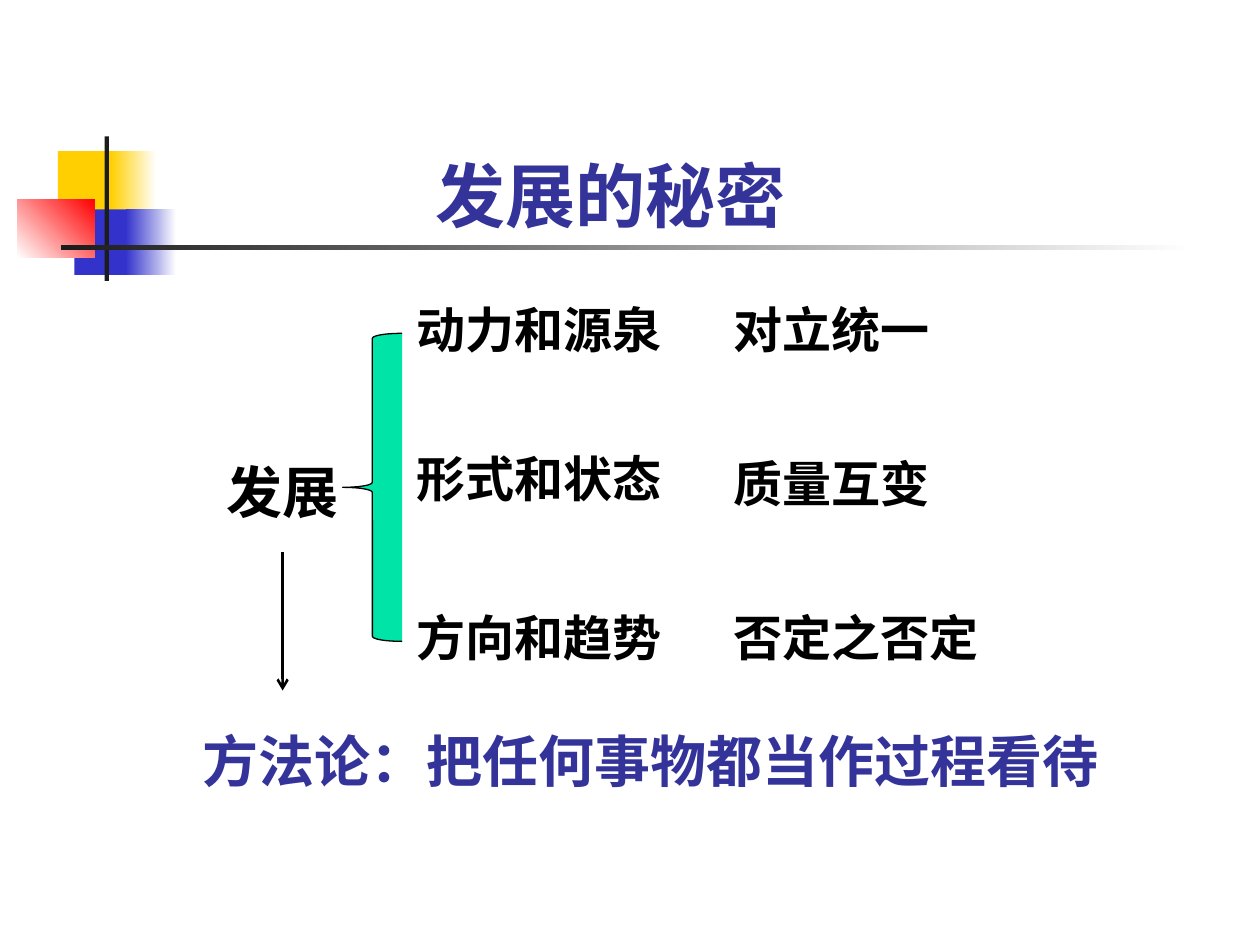
from typing import NamedTuple, Optional

from lxml import etree
from pptx import Presentation
from pptx.dml.color import RGBColor
from pptx.enum import shapes, text
from pptx.oxml import ns
from pptx.util import Pt

WHITE = RGBColor(0xFF, 0xFF, 0xFF)
BLACK = RGBColor(0, 0, 0)
CHARCOAL = RGBColor(0x1C, 0x1C, 0x1C)
YELLOW = RGBColor(0xFF, 0xCF, 0x01)
BLUE = RGBColor(0x33, 0x33, 0xCC)
RED = RGBColor(0xFF, 0, 0)
INDIGO = RGBColor(0x33, 0x33, 0x99)
GREEN = RGBColor(0, 0xE4, 0xA8)
LATIN_FONT = "Arial"
CHINESE_FONT = "Noto Sans CJK SC"


class Block(NamedTuple):
    left: float
    top: float
    width: float
    height: float
    color: RGBColor
    end_color: Optional[RGBColor] = None
    angle: float = 0


class Label(NamedTuple):
    wording: str
    left: float
    top: float
    width: float
    height: float
    size: float
    color: RGBColor = BLACK
    font: str = LATIN_FONT


BLOCKS = [
    Block(33.1, 86.4, 34.6, 37.4, YELLOW),
    Block(63.4, 86.4, 25.9, 37.4, YELLOW, WHITE),
    Block(42.5, 119.7, 33.1, 37.4, BLUE),
    Block(72, 119.7, 28.8, 37.4, BLUE, WHITE),
    Block(9.9, 113.8, 44.2, 33.4, WHITE, RED, 45),
    Block(59.8, 78, 2.4, 82.6, CHARCOAL),
    Block(34.8, 140, 648, 2.8, CHARCOAL, WHITE),
]

ASPECT_LEFT, LAW_LEFT, ROW_HEIGHT = 231, 412, 41
WIDTH_BY_LENGTH = {4: 126, 5: 154}
# aspect, its top, law, its top
ROWS = [
    ("动力和源泉", 167.8, "对立统一", 167.8),
    ("形式和状态", 252.8, "质量互变", 255.4),
    ("方向和趋势", 343.5, "否定之否定", 343.5),
]

LABELS = [
    Label("发展的秘密", 242, 83.5, 223.2, 55.6, 40, INDIGO),
    Label("发展", 122.6, 257.8, 78.4, 46, 32),
    Label("方法论：把任何事物都当作过程看待", 108.7, 411.8, 527, 46, 32, INDIGO, CHINESE_FONT),
]


def row_labels() -> list[Label]:
    return [
        Label(wording, left, top, WIDTH_BY_LENGTH[len(wording)], ROW_HEIGHT, 28)
        for aspect, aspect_top, law, law_top in ROWS
        for wording, left, top in ((aspect, ASPECT_LEFT, aspect_top), (law, LAW_LEFT, law_top))
    ]


def set_values(target, values: dict) -> None:
    for name, value in values.items():
        setattr(target, name, value)


def add_block(slide, block: Block) -> None:
    shape = slide.shapes.add_shape(
        shapes.MSO_SHAPE.RECTANGLE,
        Pt(block.left), Pt(block.top), Pt(block.width), Pt(block.height),
    )
    shape.shadow.inherit = False
    shape.line.fill.background()
    if block.end_color is None:
        shape.fill.solid()
        shape.fill.fore_color.rgb = block.color
        return
    shape.fill.gradient()
    shape.fill.gradient_angle = block.angle
    colors = (block.color, block.end_color)
    for position, (stop, color) in enumerate(zip(shape.fill.gradient_stops, colors)):
        stop.color.rgb = color
        stop.position = position


def add_label(slide, label: Label) -> None:
    box = slide.shapes.add_textbox(
        Pt(label.left), Pt(label.top), Pt(label.width), Pt(label.height)
    )
    set_values(box.text_frame, {
        "word_wrap": False,
        "auto_size": text.MSO_AUTO_SIZE.SHAPE_TO_FIT_TEXT,
    })
    run = box.text_frame.paragraphs[0].add_run()
    run.text = label.wording
    set_values(run.font, {"name": label.font, "size": Pt(label.size), "bold": True})
    run.font.color.rgb = label.color
    east_asian = etree.SubElement(run._r.get_or_add_rPr(), ns.qn("a:ea"))
    east_asian.set("typeface", CHINESE_FONT)


def add_brace(slide) -> None:
    brace = slide.shapes.add_shape(
        shapes.MSO_SHAPE.LEFT_BRACE, Pt(195.8), Pt(190.5), Pt(34), Pt(176)
    )
    brace.shadow.inherit = False
    brace.fill.solid()
    brace.fill.fore_color.rgb = GREEN
    brace.line.color.rgb = BLACK
    brace.line.width = Pt(0.75)


def add_arrow(slide) -> None:
    arrow = slide.shapes.add_connector(
        shapes.MSO_CONNECTOR.STRAIGHT, Pt(161.5), Pt(315.4), Pt(161.5), Pt(394.6)
    )
    arrow.line.color.rgb = BLACK
    arrow.line.width = Pt(1.5)
    etree.SubElement(arrow.line._get_or_add_ln(), ns.qn("a:tailEnd")).set("type", "arrow")
    etree.SubElement(arrow._element.spPr, ns.qn("a:effectLst"))


def main() -> None:
    presentation = Presentation()
    set_values(presentation, {"slide_width": Pt(720), "slide_height": Pt(540)})
    slide = presentation.slides.add_slide(presentation.slide_layouts[6])
    for block in BLOCKS:
        add_block(slide, block)
    title, topic, method = LABELS
    for label in (title, topic, *row_labels()):
        add_label(slide, label)
    add_brace(slide)
    add_label(slide, method)
    add_arrow(slide)
    presentation.save("out.pptx")


if __name__ == "__main__":
    main()
